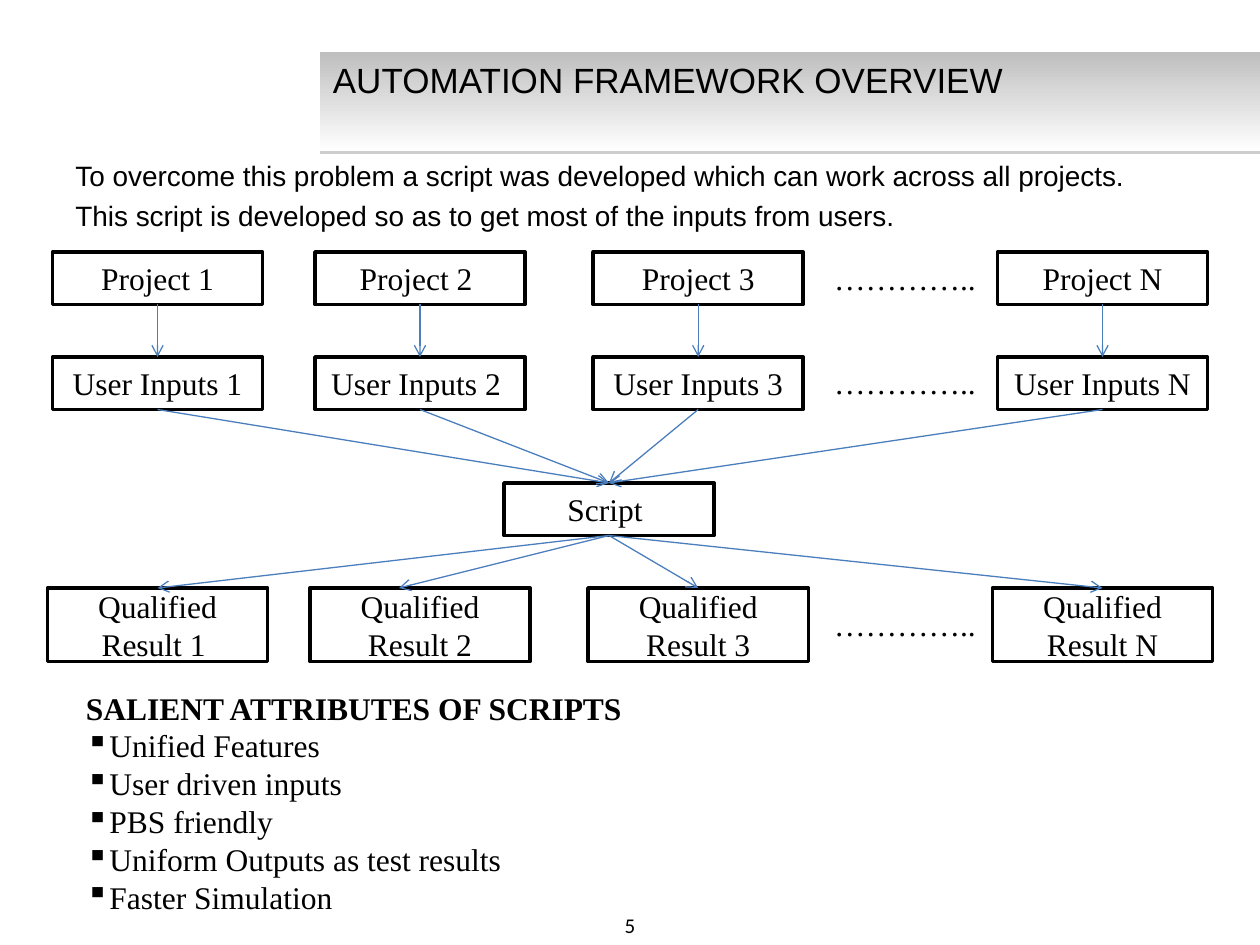
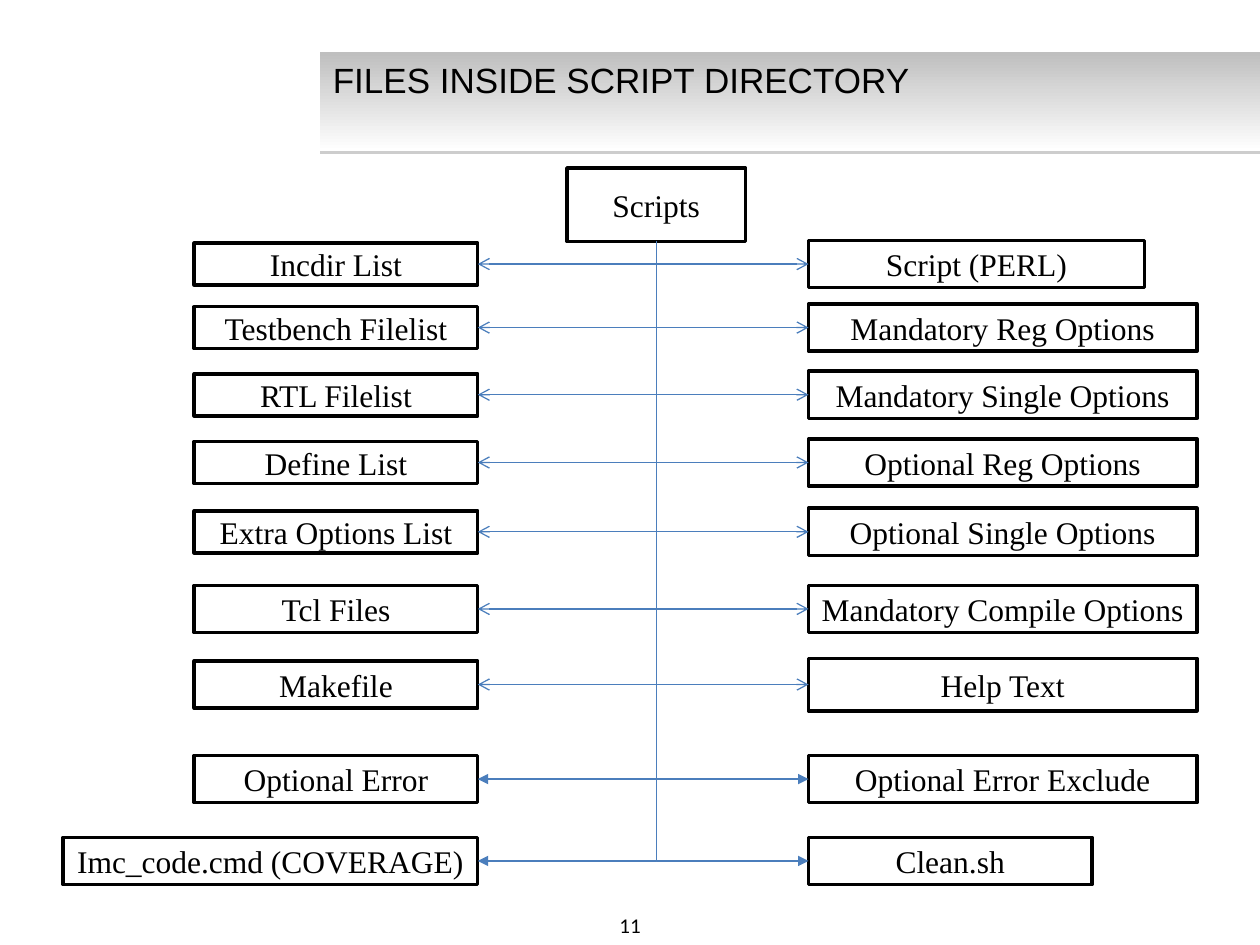
from lxml.etree import SubElement
from pptx import Presentation
from pptx.dml.color import RGBColor as RGB
from pptx.enum.shapes import MSO_CONNECTOR as LINK, MSO_SHAPE as SHAPE
from pptx.enum.text import MSO_ANCHOR as ANCHOR, PP_ALIGN as ALIGN
from pptx.oxml.ns import qn
from pptx.util import Inches, Pt

COLORS = {"ink": "000000", "paper": "FFFFFF", "band": "BFBFBF",
          "shadow": "808080", "arrow": "4B7EBC"}
SANS, SERIF, NUMBER = "Arial", "Times New Roman", "Calibri"
COLS, ROWS = 240, 180
TOP, LEFT, BOTTOM, RIGHT = range(4)
BAND = (61, 10, 179, 18.8)
DOTS = "………….."


def color(name):
    return RGB.from_string(COLORS[name])


class Deck:
    """Holds the style and the current slide; lengths are grid columns and rows."""

    def __init__(self):
        self.prs = Presentation()
        self.prs.slide_width, self.prs.slide_height = Inches(10), Inches(7.5)

    def cells(self, x, y, w, h):
        col, row = self.prs.slide_width / COLS, self.prs.slide_height / ROWS
        return int(x * col), int(y * row), int(w * col), int(h * row)

    def add_run(self, p, text, size=18, font=SERIF):
        r = p.add_run()
        r.text = text
        r.font.size, r.font.name, r.font.bold = Pt(size), font, False
        r.font.color.rgb = color("ink")

    def new_slide(self, title, number):
        self.slide = self.prs.slides.add_slide(self.prs.slide_layouts[5])
        self.shapes = self.slide.shapes
        self.band()
        sp = self.shapes.title
        sp.left, sp.top, sp.width, sp.height = self.cells(*BAND)
        tf = sp.text_frame
        tf.vertical_anchor, tf.word_wrap = ANCHOR.TOP, True
        p = tf.paragraphs[0]
        p.alignment = ALIGN.LEFT
        self.add_run(p, title, 20, SANS)
        tf = self.text((92, 172.6, 56, 7.4), [number], 12, NUMBER)
        tf.vertical_anchor = ANCHOR.MIDDLE
        tf.paragraphs[0].alignment = ALIGN.CENTER

    def band(self):
        """Puts the gradient title band, with its thin lower shadow, at the back."""
        sp = self.shapes.add_shape(SHAPE.RECTANGLE, *self.cells(*BAND))
        sp.line.fill.background()
        sp.fill.gradient()
        sp.fill.gradient_angle = 270
        for stop, name, pos in zip(sp.fill.gradient_stops, ("band", "paper"), (0, 1)):
            stop.color.rgb, stop.position = color(name), pos
        sp.shadow.inherit = False
        effects = sp._element.spPr.find(qn("a:effectLst"))
        shadow = SubElement(effects, qn("a:outerShdw"), blurRad="0",
                            dist=str(int(Pt(1.6))), dir="5400000", rotWithShape="0")
        tint = SubElement(shadow, qn("a:srgbClr"), val=COLORS["shadow"])
        SubElement(tint, qn("a:alpha"), val="38000")
        self.shapes._spTree.insert(2, sp._element)

    def text(self, at, lines, size=18, font=SERIF, gap=0):
        tf = self.shapes.add_textbox(*self.cells(*at)).text_frame
        tf.word_wrap = True
        for i, line in enumerate(lines):
            p = tf.add_paragraph() if i else tf.paragraphs[0]
            if i and gap:
                p.space_before = Pt(gap)
            self.add_run(p, line, size, font)
        return tf

    def bullets(self, at, heading, items):
        tf = self.text(at, [heading, *items])
        first, *rest = tf.paragraphs
        first.runs[0].font.bold = True
        for p in rest:
            SubElement(p._p.get_or_add_pPr(), qn("a:buChar"), char="▪")

    def box(self, at, text):
        sp = self.shapes.add_shape(SHAPE.RECTANGLE, *self.cells(*at))
        sp.shadow.inherit = False
        sp.fill.solid()
        sp.fill.fore_color.rgb = color("paper")
        sp.line.color.rgb, sp.line.width = color("ink"), Pt(2)
        tf = sp.text_frame
        tf.word_wrap, tf.vertical_anchor = True, ANCHOR.MIDDLE
        tf.paragraphs[0].alignment = ALIGN.CENTER
        self.add_run(tf.paragraphs[0], text)
        return sp

    def arrow(self, start, end, side=TOP, kind=LINK.STRAIGHT, head="arrow"):
        """Runs from the bottom of start to a side of end, or to an (x, y) grid point."""
        c = self.shapes.add_connector(kind, 0, 0, 0, 0)
        c.begin_connect(start, BOTTOM)
        if isinstance(end, tuple):
            c.end_x, c.end_y = self.cells(*end, 0, 0)[:2]
        else:
            c.end_connect(end, side)
        c.line.color.rgb, c.line.width = color("arrow"), Pt(0.75)
        SubElement(c.line._get_or_add_ln(), qn("a:tailEnd"), type=head)
        SubElement(c._element.spPr, qn("a:effectLst"))
        return c

    def branch(self, start, end, side, head):
        """Goes down from start, then turns once sideways into end."""
        c = self.arrow(start, end, side, LINK.ELBOW, head)
        dx, dy = c.width, c.height
        mid_x, mid_y = c.left + dx // 2, c.top + dy // 2
        c.left, c.top = mid_x - dy // 2, mid_y - dx // 2
        c.width, c.height = dy, dx
        spPr = c._element.spPr
        spPr.find(qn("a:prstGeom")).set("prst", "bentConnector2")
        xfrm = spPr.find(qn("a:xfrm"))
        to_right = side == LEFT
        xfrm.set("rot", str((270 if to_right else 90) * 60000))
        xfrm.set("flipH", "1" if to_right else "0")


def overview(deck):
    deck.new_slide("AUTOMATION FRAMEWORK OVERVIEW", "5")
    deck.text((12, 29, 216, 19), [
        "To overcome this problem a script was developed which can work across all projects.",
        "This script is developed so as to get most of the inputs from users."],
        16, SANS, gap=3.7)
    script = deck.box((96, 92, 40, 10), "Script ")
    lanes = [(30, "Project 1", "User Inputs 1", "Qualified Result 1 "),
             (80, "Project 2 ", "User Inputs 2 ", "Qualified Result 2"),
             (133, "Project 3", "User Inputs 3", "Qualified Result 3"),
             (210, "Project N", "User Inputs N", "Qualified Result N")]
    for mid, project, inputs, result in lanes:
        source = deck.box((mid - 20, 48, 40, 10), project)
        user = deck.box((mid - 20, 68, 40, 10), inputs)
        target = deck.box((mid - 21, 112, 42, 14), result)
        deck.arrow(source, user)
        deck.arrow(user, script)
        deck.arrow(script, (76, 112) if mid == 80 else target)
    for y in (48.2, 68, 114):
        deck.text((156.5, y, 32, 9.6), [DOTS])
    deck.bullets((14, 130, 120, 46), "SALIENT ATTRIBUTES OF SCRIPTS", [
        "Unified Features", "User driven inputs", "PBS friendly",
        "Uniform Outputs as test results", "Faster Simulation"])


def directory(deck):
    deck.new_slide("FILES INSIDE SCRIPT DIRECTORY", "11")
    root = deck.box((108, 32, 34, 14), "Scripts")
    # middle row, then text, width and height of the left and the right box
    files = [
        (50.3, ("Incdir List", 54, 8), ("Script (PERL)", 64, 9)),
        (62.4, ("Testbench Filelist", 54, 8), ("Mandatory Reg Options", 74, 9)),
        (75.2, ("RTL Filelist", 54, 8), ("Mandatory Single Options", 74, 9)),
        (88.1, ("Define List", 54, 8), ("Optional Reg Options", 74, 9)),
        (101.3, ("Extra Options List", 54, 8), ("Optional Single Options", 74, 9)),
        (116, ("Tcl Files", 54, 9), ("Mandatory Compile Options", 74, 9)),
        (130.4, ("Makefile", 54, 9), ("Help Text", 74, 10)),
        (148.4, ("Optional Error", 54, 9), ("Optional Error Exclude", 74, 9)),
        (164, ("Imc_code.cmd (COVERAGE)", 79, 9), ("Clean.sh", 54, 9))]
    for mid, (left, lw, lh), (right, rw, rh) in files:
        head = "arrow" if mid < 140 else "triangle"
        left_box = deck.box((91 - lw, mid - lh / 2, lw, lh), left)
        right_box = deck.box((154, mid - rh / 2, rw, rh), right)
        deck.branch(root, right_box, LEFT, head)
        deck.branch(root, left_box, RIGHT, head)


def main():
    deck = Deck()
    overview(deck)
    directory(deck)
    deck.prs.save("out.pptx")


if __name__ == "__main__":
    main()
